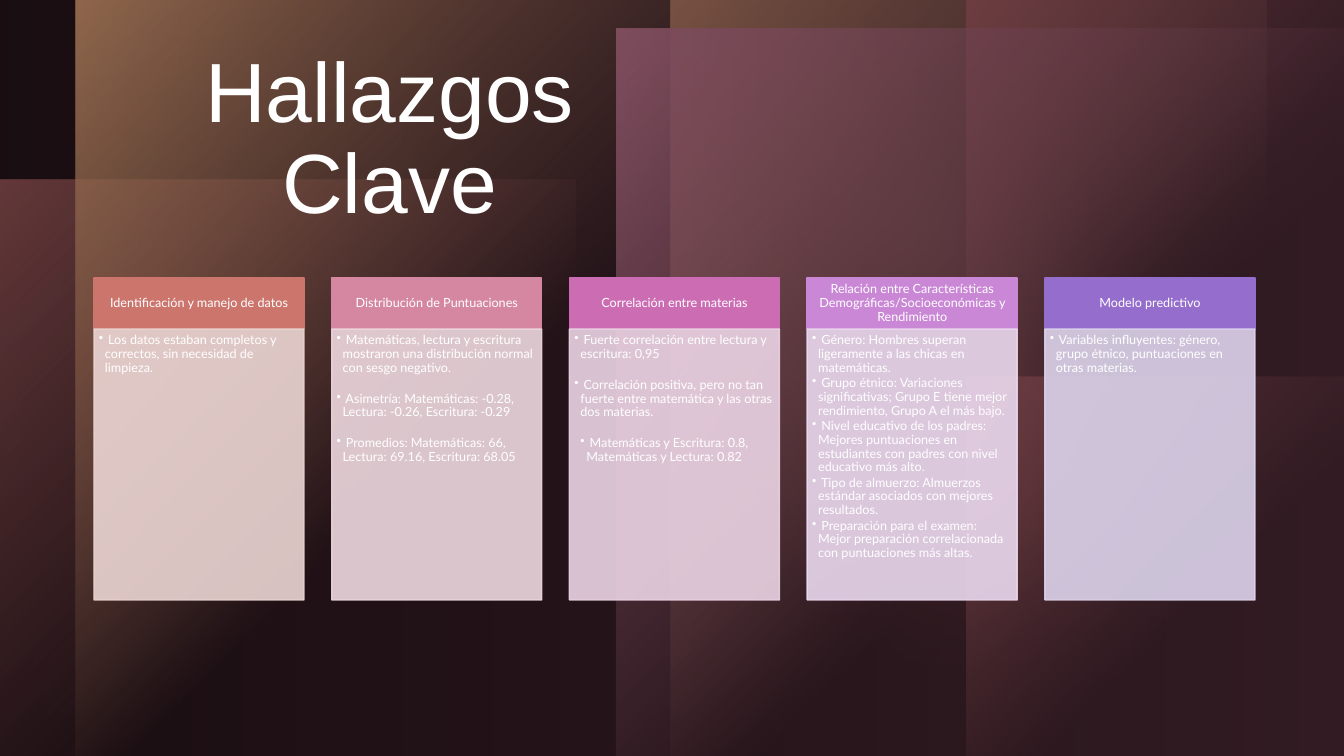
from lxml.etree import SubElement, fromstring
from pptx import Presentation
from pptx.dml.color import RGBColor
from pptx.enum.shapes import MSO_SHAPE
from pptx.enum.text import MSO_ANCHOR, MSO_AUTO_SIZE, PP_ALIGN
from pptx.oxml.ns import nsdecls, qn
from pptx.util import Pt

HEADING = "Hallazgos Clave"
WHITE = "FFFFFF"
CARDS = [
    ("Identificación y manejo de datos", "CC756D", "ECD6D4", 0, [
        (1, "Los datos estaban completos y correctos, sin necesidad de limpieza."),
    ]),
    ("Distribución de Puntuaciones", "D587A1", "EFD9E0", 11, [
        (1, "Matemáticas, lectura y escritura mostraron una distribución normal con sesgo negativo."),
        (1, "Asimetría: Matemáticas: -0.28, Lectura: -0.26, Escritura: -0.29"),
        (1, "Promedios: Matemáticas: 66, Lectura: 69.16, Escritura: 68.05"),
    ]),
    ("Correlación entre materias", "CC6DB4", "ECD4E5", 11, [
        (1, "Fuerte correlación entre lectura y escritura: 0,95"),
        (1, "Correlación positiva, pero no tan fuerte entre matemática y las otras dos materias."),
        (2, "Matemáticas y Escritura: 0.8, Matemáticas y Lectura: 0.82"),
    ]),
    ("Relación entre Características Demográficas/Socioeconómicas y Rendimiento",
     "C987D5", "EBD9EF", 0, [
        (1, "Género: Hombres superan ligeramente a las chicas en matemáticas."),
        (1, "Grupo étnico: Variaciones significativas; Grupo E tiene mejor rendimiento, "
            "Grupo A el más bajo."),
        (1, "Nivel educativo de los padres: Mejores puntuaciones en estudiantes con padres "
            "con nivel educativo más alto."),
        (1, "Tipo de almuerzo: Almuerzos estándar asociados con mejores resultados."),
        (1, "Preparación para el examen: Mejor preparación correlacionada con puntuaciones más altas."),
    ]),
    ("Modelo predictivo", "956DCC", "DDD4EC", 0, [
        (1, "Variables influyentes: género, grupo étnico, puntuaciones en otras materias."),
    ]),
]

SLIDE_W, SLIDE_H = 1344, 756
RADIAL = '<a:path path="circle"><a:fillToRect r="100000" b="100000"/></a:path>'
LINEAR = '<a:lin ang="0" scaled="0"/>'
BACKDROP = [
    ("panel", (0, 180, 576, 576), "CC756D", 60),
    ("glow", (704, 0, 476, 476), "D587A1", 96),
    ("glow", (674, 136, 607, 607), "CC756D", 60),
    ("panel", (671, 0, 596, 756), "C99763", 100),
    ("panel", (76, 0, 595, 756), "C99763", 100),
    ("panel", (966, 377, 378, 378), "CC756D", 100),
    ("panel", (966, 0, 378, 378), "CC756D", 100),
    ("panel", (617, 29, 727, 727), "D587A1", 100),
    ("veil", (0, 0, SLIDE_W, SLIDE_H), "41242E", 40),
]
ROW_LEFT, ROW_RIGHT, CARD_W = 94, 1255, 210
HEADER_TOP, HEADER_H, BODY_H = 278, 51, 271
INDENT = 6


def emu(px):
    return round(px * 12192000 / SLIDE_W)


def rgb(color):
    return RGBColor.from_string(color)


def set_alpha(fill_owner, percent):
    for color in fill_owner.iter(qn("a:srgbClr")):
        SubElement(color, qn("a:alpha"), val=str(percent * 1000))


def add_block(geometry, box, color):
    block = slide.shapes.add_shape(geometry, *map(emu, box))
    block.shadow.inherit = False
    block.fill.solid()
    block.fill.fore_color.rgb = rgb(color)
    block.line.fill.background()
    return block


def set_gradient(block, color, start_alpha, end_at, end_alpha, direction):
    stops = "".join(
        f'<a:gs pos="{at * 1000}"><a:srgbClr val="{color}">'
        f'<a:alpha val="{alpha * 1000}"/></a:srgbClr></a:gs>'
        for at, alpha in ((0, start_alpha), (end_at, end_alpha)))
    gradient = fromstring(f'<a:gradFill {nsdecls("a")} rotWithShape="1">'
                          f'<a:gsLst>{stops}</a:gsLst>{direction}</a:gradFill>')
    properties = block._element.spPr
    properties.replace(properties.find(qn("a:solidFill")), gradient)


def add_backdrop(role, box, color, alpha):
    if role == "glow":
        glow = add_block(MSO_SHAPE.OVAL, box, color)
        set_alpha(glow._element.spPr, alpha)
        effects = glow._element.spPr.find(qn("a:effectLst"))
        SubElement(effects, qn("a:softEdge"), rad="1270000")
        return
    block = add_block(MSO_SHAPE.RECTANGLE, box, color)
    if role == "panel":
        set_gradient(block, color, alpha, 60, 0, RADIAL)
    else:
        set_gradient(block, color, alpha, 100, 80, LINEAR)


def prepare_frame(frame, insets, anchor):
    frame.word_wrap = True
    frame.auto_size = MSO_AUTO_SIZE.NONE
    frame.vertical_anchor = anchor
    (frame.margin_left, frame.margin_top,
     frame.margin_right, frame.margin_bottom) = map(emu, insets)


def style(paragraph, face, size, alignment):
    paragraph.font.name = face
    paragraph.font.size = Pt(size)
    paragraph.font.color.rgb = rgb(WHITE)
    paragraph.alignment = alignment
    paragraph.line_spacing = 0.9


def add_card_part(box, color, insets, anchor):
    part = add_block(MSO_SHAPE.RECTANGLE, box, color)
    part.line.color.rgb = rgb(color)
    part.line.width = Pt(1)
    prepare_frame(part.text_frame, insets, anchor)
    return part


def add_bullets(frame, findings, gap):
    for index, (level, finding) in enumerate(findings):
        paragraph = frame.paragraphs[0] if index == 0 else frame.add_paragraph()
        paragraph.text = f" {finding}"
        style(paragraph, "Lato", 9, PP_ALIGN.LEFT)
        paragraph.level = level
        paragraph.space_before = Pt(gap if index else 0)
        paragraph.space_after = Pt(1.4)
        properties = paragraph._p.get_or_add_pPr()
        properties.set("marL", str(emu(INDENT * level)))
        properties.set("indent", str(-emu(INDENT)))
        bullet = fromstring(f'<a:buChar {nsdecls("a")} char="•"/>')
        properties.insert_element_before(bullet, "a:tabLst", "a:defRPr", "a:extLst")


deck = Presentation()
deck.slide_width, deck.slide_height = emu(SLIDE_W), emu(SLIDE_H)
slide = deck.slides.add_slide(deck.slide_layouts[5])
slide.background.fill.solid()
slide.background.fill.fore_color.rgb = rgb("000000")

for layer in BACKDROP:
    add_backdrop(*layer)

heading = slide.shapes.title
slide.shapes._spTree.append(heading._element)
heading.left, heading.top, heading.width, heading.height = map(emu, (97, 45, 585, 135))
heading.text = HEADING
prepare_frame(heading.text_frame, (10, 5, 10, 5), MSO_ANCHOR.TOP)
style(heading.text_frame.paragraphs[0], "Arial", 60, PP_ALIGN.CENTER)

step = (ROW_RIGHT - ROW_LEFT - CARD_W) / (len(CARDS) - 1)
for column, (topic, accent, tint, gap, findings) in enumerate(CARDS):
    left = ROW_LEFT + column * step
    header = add_card_part((left, HEADER_TOP, CARD_W, HEADER_H), accent,
                           (7, 4, 7, 4), MSO_ANCHOR.MIDDLE)
    header.text_frame.text = topic
    style(header.text_frame.paragraphs[0], "Lato", 9, PP_ALIGN.CENTER)
    body = add_card_part((left, HEADER_TOP + HEADER_H, CARD_W, BODY_H), tint,
                         (5, 5, 7, 8), MSO_ANCHOR.TOP)
    set_alpha(body._element.spPr, 90)
    add_bullets(body.text_frame, findings, gap)

deck.save("out.pptx")
